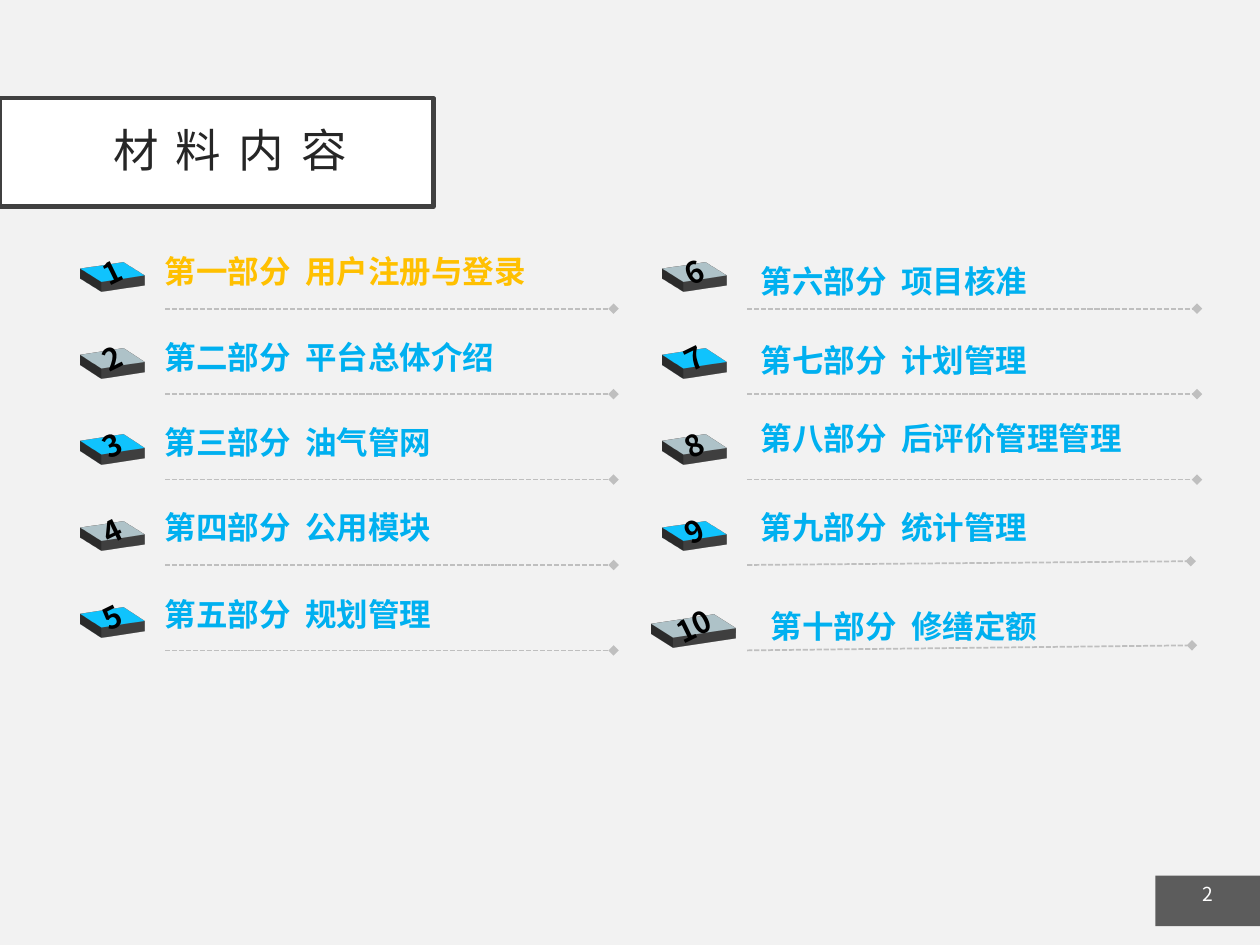
from lxml.etree import SubElement
from pptx import Presentation
from pptx.dml.color import RGBColor
from pptx.enum.dml import MSO_LINE
from pptx.enum.shapes import MSO_CONNECTOR, MSO_SHAPE
from pptx.enum.text import MSO_ANCHOR, PP_ALIGN
from pptx.oxml.ns import qn
from pptx.util import Inches, Pt

FONT = "Noto Sans CJK SC"
BLUE, GREY, GOLD = "00B0F0", "9BAFB5", "FFC000"
FIRST_ROW, ROW_STEP, TILE = 1.97, 0.685, 0.38
RULE_TOP, RULE_STEP = 2.45, 0.678

# Each entry: text, label left, label top, rule right, rise of the rule's end
LEFT_ITEMS = [
    ("第一部分  用户注册与登录", 1.21, 1.95, 4.87, 0),
    ("第二部分  平台总体介绍", 1.21, 2.63, 4.87, 0),
    ("第三部分  油气管网", 1.21, 3.31, 4.87, 0),
    ("第四部分  公用模块", 1.21, 3.98, 4.87, 0),
    ("第五部分  规划管理", 1.21, 4.67, 4.87, 0),
]
RIGHT_ITEMS = [
    ("第六部分  项目核准", 5.94, 2.03, 9.5, 0),
    ("第七部分  计划管理", 5.94, 2.66, 9.5, 0),
    ("第八部分  后评价管理管理", 5.94, 3.28, 9.5, 0),
    ("第九部分  统计管理", 5.94, 3.98, 9.45, 0.03),
    ("第十部分  修缮定额", 6.02, 4.77, 9.46, 0.04),
]


def color(hex_text):
    """Turn a hex string into a colour."""
    return RGBColor.from_string(hex_text)


def add_node(parent, tag, **attributes):
    """Append a DrawingML element and return it."""
    return SubElement(parent, qn(tag), attributes)


def fill_shape(shape, hex_text):
    """Give a shape a plain fill and no shadow."""
    shape.shadow.inherit = False
    shape.fill.solid()
    shape.fill.fore_color.rgb = color(hex_text)


def write(shape, text, size, hex_text, bold=False, align=PP_ALIGN.LEFT):
    """Set one paragraph of text and format its run."""
    shape.text_frame.text = text
    para = shape.text_frame.paragraphs[0]
    para.alignment = align
    span = para.runs[0]
    span.font.size, span.font.bold = Pt(size), bold
    span.font.name, span.font.color.rgb = FONT, color(hex_text)
    add_node(span._r.get_or_add_rPr(), "a:ea", typeface=FONT)
    return span


def add_tile(page, box, number):
    """Add a numbered slab seen from above at an angle."""
    tile = page.shapes.add_shape(MSO_SHAPE.OCTAGON, *map(Inches, box))
    tile.adjustments[0] = 0
    # Blue and grey alternate down the list
    fill_shape(tile, BLUE if number % 2 else GREY)
    tile.line.color.rgb, tile.line.width = color("FFFFFF"), Pt(2.75)
    tile.text_frame.word_wrap = False
    tile.text_frame.vertical_anchor = MSO_ANCHOR.MIDDLE
    write(tile, str(number), 17, "000000", True, PP_ALIGN.CENTER)
    properties = tile._element.spPr
    scene = add_node(properties, "a:scene3d")
    add_node(scene, "a:camera", prst="isometricOffAxis1Top")
    add_node(scene, "a:lightRig", rig="threePt", dir="t")
    depth = add_node(properties, "a:sp3d", extrusionH="76200")
    add_node(add_node(depth, "a:extrusionClr"), "a:srgbClr", val="808080")


def add_rule(page, left, top, right, rise):
    """Add a dashed rule that ends in a diamond."""
    ends = map(Inches, (left, top, right, top - rise))
    rule = page.shapes.add_connector(MSO_CONNECTOR.STRAIGHT, *ends)
    rule.line.color.rgb, rule.line.width = color("BFBFBF"), Pt(1)
    rule.line.dash_style = MSO_LINE.SQUARE_DOT
    add_node(rule.line._get_or_add_ln(), "a:tailEnd", type="diamond")
    add_node(rule._element.spPr, "a:effectLst")


def add_column(page, tile_left, rule_left, first_number, items):
    """Add one column of numbered contents entries."""
    for row, (text, left, top, rule_right, rise) in enumerate(items):
        number = first_number + row
        tile_box = (tile_left, FIRST_ROW + row * ROW_STEP, TILE, TILE)
        if number == 10:
            tile_box = (5.23, 4.77, 0.55, 0.39)
        add_tile(page, tile_box, number)
        add_rule(page, rule_left, RULE_TOP + row * RULE_STEP, rule_right, rise)
        label = page.shapes.add_textbox(*map(Inches, (left, top, 3.48, 0.45)))
        label.text_frame.word_wrap = True
        write(label, text, 18, GOLD if number == 1 else BLUE, True)


def add_title(page, box):
    """Place and format the framed title."""
    title = page.shapes.title
    title.left, title.top, title.width, title.height = map(Inches, box)
    title.fill.solid()
    title.fill.fore_color.rgb = color("FFFFFF")
    title.line.color.rgb, title.line.width = color("404040"), Pt(2.5)
    frame = title.text_frame
    frame.vertical_anchor = MSO_ANCHOR.MIDDLE
    frame.margin_left = frame.margin_right = Inches(0.2)
    frame.margin_top = frame.margin_bottom = Inches(0.2)
    span = write(title, "  材 料 内 容", 26, "262626", align=PP_ALIGN.CENTER)
    span._r.get_or_add_rPr().set("spc", "200")
    frame.paragraphs[0].line_spacing = 0.9


def add_page_number(page, box):
    """Add the translucent page number block."""
    block = page.shapes.add_shape(MSO_SHAPE.RECTANGLE, *map(Inches, box))
    fill_shape(block, "1D1D1D")
    shade = block._element.spPr.find(qn("a:solidFill"))[0]
    add_node(shade, "a:alpha", val="70000")
    block.line.fill.background()
    block.text_frame.vertical_anchor = MSO_ANCHOR.TOP
    write(block, "2", 11, "FFFFFF", align=PP_ALIGN.CENTER)


def build():
    """Build the contents slide and save it."""
    deck = Presentation()
    deck.slide_width, deck.slide_height = Inches(10), Inches(7.5)
    page = deck.slides.add_slide(deck.slide_layouts[5])
    page.background.fill.solid()
    page.background.fill.fore_color.rgb = color("F2F2F2")
    add_column(page, 0.7, 1.31, 1, LEFT_ITEMS)
    add_column(page, 5.32, 5.93, 6, RIGHT_ITEMS)
    add_title(page, (0, 0.78, 3.44, 0.86))
    add_page_number(page, (9.17, 6.95, 0.83, 0.4))
    deck.save("out.pptx")


build()
